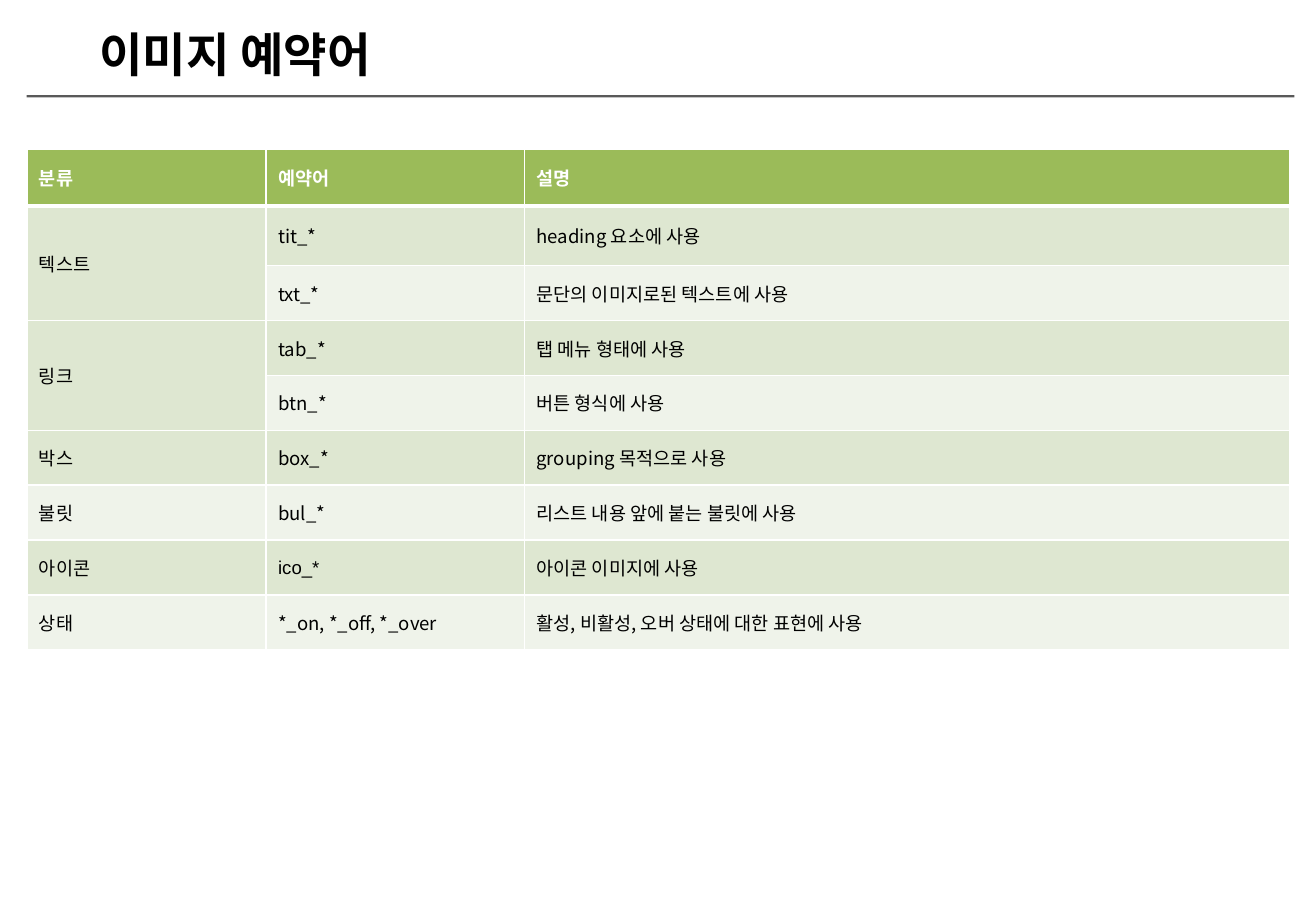
import lxml.etree
import pptx
import pptx.dml.color
import pptx.enum.shapes
import pptx.enum.text
import pptx.oxml.ns
import pptx.util

Cm = pptx.util.Cm
Pt = pptx.util.Pt
RGBColor = pptx.dml.color.RGBColor
qn = pptx.oxml.ns.qn

BLACK = RGBColor(0x00, 0x00, 0x00)
WHITE = RGBColor(0xFF, 0xFF, 0xFF)
GRAY = RGBColor(0x59, 0x59, 0x59)
GREEN = RGBColor(0x9B, 0xBB, 0x59)
BANDS = (RGBColor(0xEF, 0xF3, 0xEA), RGBColor(0xDE, 0xE7, 0xD1))
KOREAN_FONT = "Noto Sans CJK KR"
LATIN_FONT = "Arial"

COLUMN_WIDTHS = (5, 5.4, 16)
ROW_HEIGHTS = (1.19, 1.24) + (1.15,) * 7
RESERVED_WORDS = (
    ("분류", "예약어", "설명"),
    ("텍스트", "tit_*", "heading 요소에 사용"),
    (None, "txt_*", "문단의 이미지로된 텍스트에 사용"),
    ("링크", "tab_*", "탭 메뉴 형태에 사용"),
    (None, "btn_*", "버튼 형식에 사용"),
    ("박스", "box_*", "grouping 목적으로 사용"),
    ("불릿", "bul_*", "리스트 내용 앞에 붙는 불릿에 사용"),
    ("아이콘", "ico_*", "아이콘 이미지에 사용"),
    ("상태", "*_on, *_off, *_over", "활성, 비활성, 오버 상태에 대한 표현에 사용"),
)
LATIN_TEXTS = {*RESERVED_WORDS[0], *RESERVED_WORDS[6][::2], *RESERVED_WORDS[7][1:]}


def write_text(frame, text, size=11, color=BLACK, bold=False, font=KOREAN_FONT):
    run = frame.paragraphs[0].add_run()
    run.text = text
    run.font.size = Pt(size)
    run.font.bold = bold
    run.font.color.rgb = color
    run.font.name = font
    properties = run._r.get_or_add_rPr()
    lxml.etree.SubElement(properties, qn("a:ea"), typeface=KOREAN_FONT)


class SlideBuilder:
    """Hold the slide and its style, and add each kind of element."""

    def __init__(self, slide, border_color=WHITE):
        self.slide = slide
        self.border_color = border_color

    def add_title(self, text, left, top, width, height):
        box = self.slide.shapes.add_textbox(Cm(left), Cm(top), Cm(width), Cm(height))
        box.text_frame.word_wrap = False
        box.text_frame.auto_size = pptx.enum.text.MSO_AUTO_SIZE.SHAPE_TO_FIT_TEXT
        write_text(box.text_frame, text, size=28, bold=True)

    def add_bar(self, left, top, width, height):
        bar = self.slide.shapes.add_shape(
            pptx.enum.shapes.MSO_SHAPE.RECTANGLE, Cm(left), Cm(top), Cm(width), Cm(height))
        bar.shadow.inherit = False
        bar.fill.solid()
        bar.fill.fore_color.rgb = GRAY
        bar.line.fill.background()

    def add_borders(self, cell, top, bottom):
        properties = cell._tc.get_or_add_tcPr()
        for side, width in (("L", 1), ("R", 1), ("T", top), ("B", bottom)):
            line = lxml.etree.SubElement(properties, qn(f"a:ln{side}"), w=str(Pt(width)))
            fill = lxml.etree.SubElement(line, qn("a:solidFill"))
            lxml.etree.SubElement(fill, qn("a:srgbClr"), val=str(self.border_color))

    def format_cell(self, cell, row):
        self.add_borders(cell, top=3 if row == 1 else 1, bottom=3 if row == 0 else 1)
        cell.fill.solid()
        cell.fill.fore_color.rgb = BANDS[row % 2] if row else GREEN
        cell.vertical_anchor = pptx.enum.text.MSO_ANCHOR.MIDDLE

    def add_table(self, rows, left, top):
        table = self.slide.shapes.add_table(
            len(rows), len(COLUMN_WIDTHS), Cm(left), Cm(top),
            Cm(sum(COLUMN_WIDTHS)), Cm(sum(ROW_HEIGHTS))).table
        table.horz_banding = False
        for column, width in zip(table.columns, COLUMN_WIDTHS):
            column.width = Cm(width)
        for table_row, height in zip(table.rows, ROW_HEIGHTS):
            table_row.height = Cm(height)
        for row, texts in enumerate(rows):
            for column, text in enumerate(texts):
                cell = table.cell(row, column)
                self.format_cell(cell, row)
                if text is None:
                    table.cell(row - 1, column).merge(cell)
                    continue
                write_text(cell.text_frame, text, bold=row == 0,
                           color=BLACK if row else WHITE,
                           font=LATIN_FONT if text in LATIN_TEXTS else KOREAN_FONT)


presentation = pptx.Presentation()
presentation.slide_width = Cm(27.51)
presentation.slide_height = Cm(19.05)
builder = SlideBuilder(presentation.slides.add_slide(presentation.slide_layouts[6]))
builder.add_bar(0.56, 1.99, 26.5, 0.05)
builder.add_title("이미지 예약어", 1.83, 0.41, 6.83, 1.45)
builder.add_table(RESERVED_WORDS, 0.56, 3.12)
presentation.save("out.pptx")
